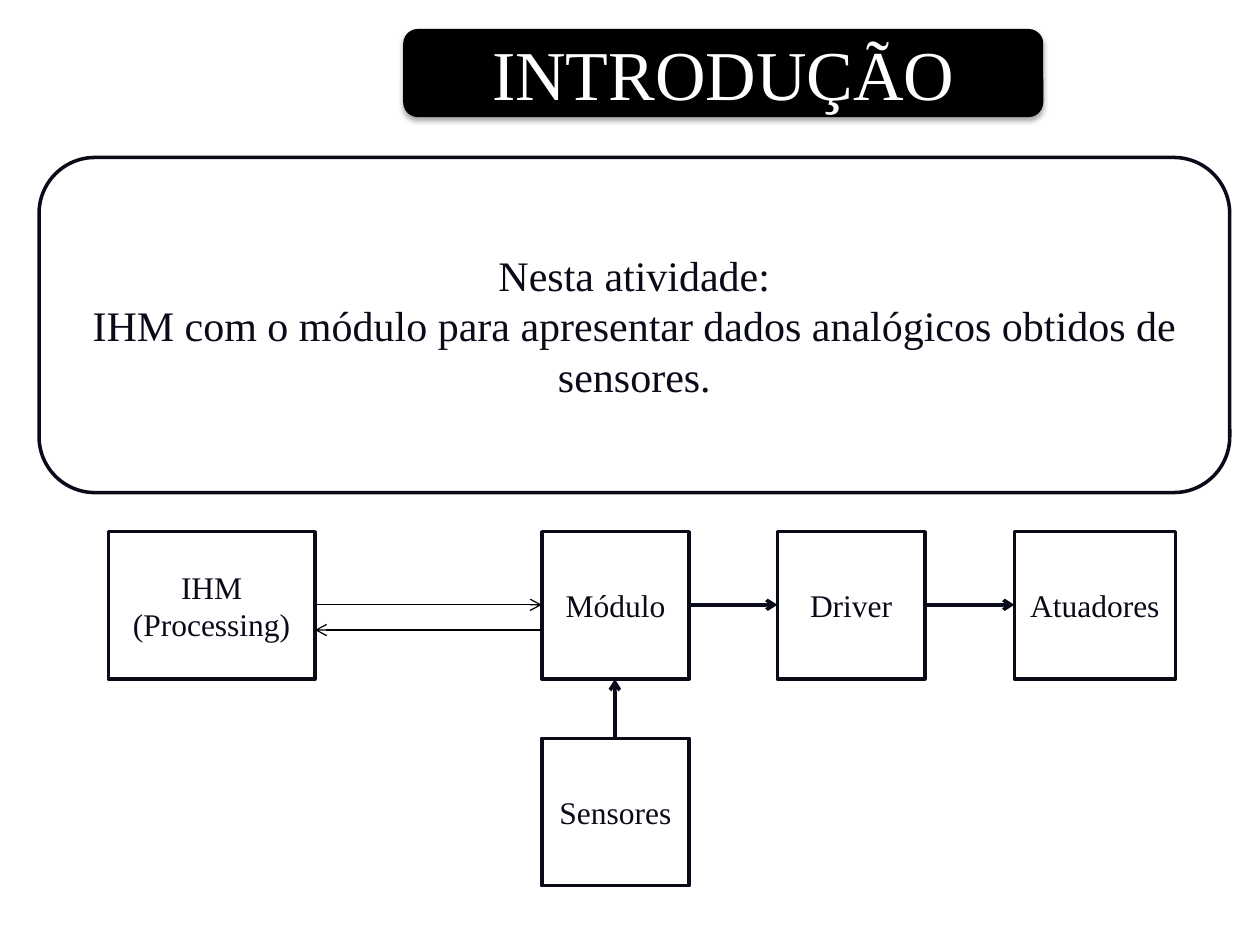
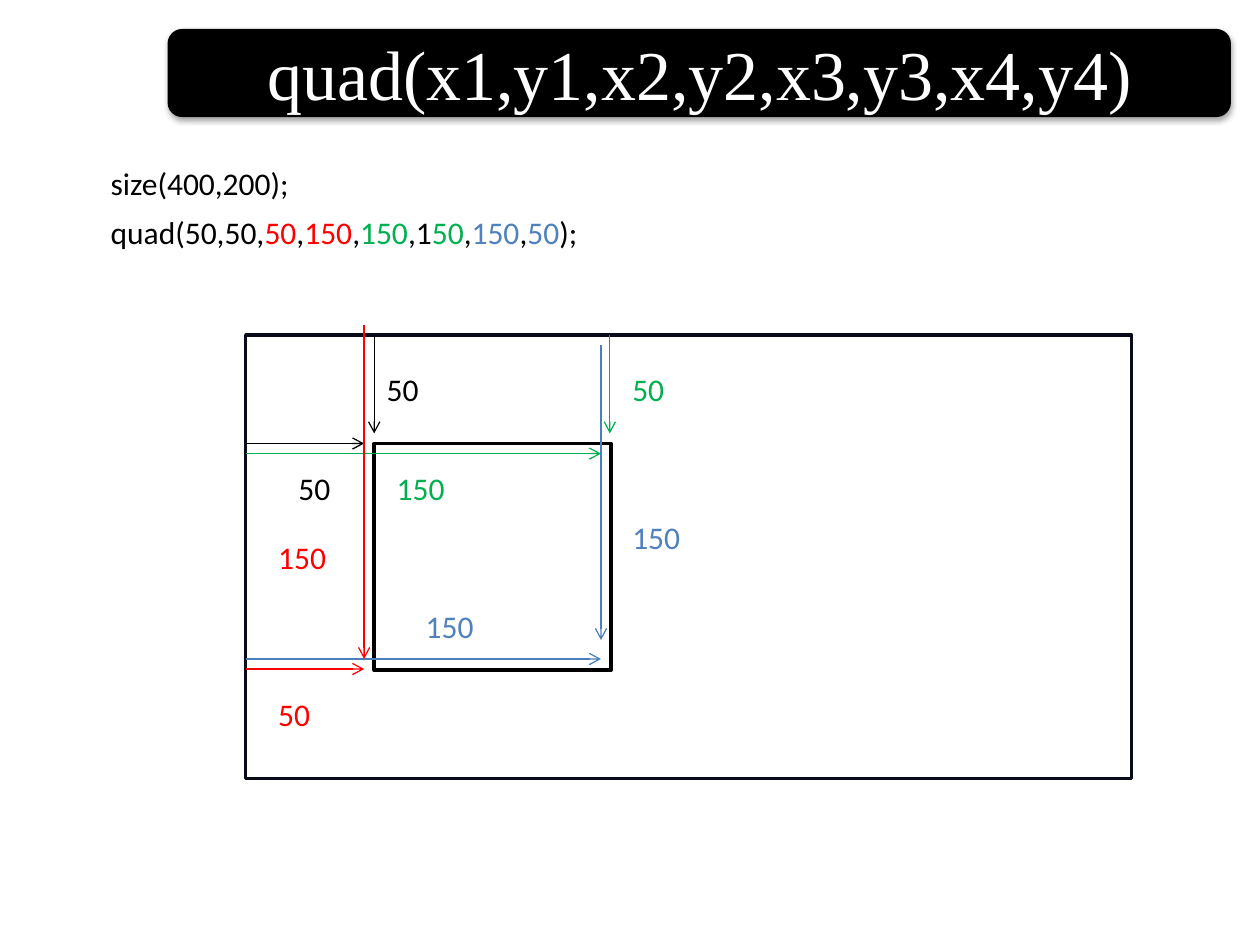
from lxml import etree
from pptx import Presentation
from pptx import util as u
from pptx.dml.color import RGBColor
from pptx.enum import shapes, text
from pptx.oxml import ns, parse_xml

SERIF, SANS = "Times New Roman", "Calibri"
BLACK, WHITE, INK = "000000", "FFFFFF", "090B19"
RED, GREEN, BLUE, BLUE_LINE = "FF0000", "00B050", "4F81BD", "4B7EBC"
THICK, THIN = 2, 0.75
TITLE_SHADOW = (
    f'<a:outerShdw {ns.nsdecls("a")} blurRad="{u.Pt(3.1)}" dist="{u.Pt(1.8)}" '
    'dir="5400000" rotWithShape="0"><a:srgbClr val="000000">'
    '<a:alpha val="35000"/></a:srgbClr></a:outerShdw>'
)


def color(hex_code):
    """Turn a hex string into a colour."""
    return RGBColor.from_string(hex_code)


def style_run(run, size, font, hex_code):
    """Set the size, typeface and colour of a run."""
    run.font.size = u.Pt(size)
    run.font.name = font
    run.font.color.rgb = color(hex_code)


def add_box(slide, area, label="", size=18, ink=INK, fill=WHITE, line=INK,
            preset=shapes.MSO_SHAPE.RECTANGLE):
    """Add a box with centred serif text, one paragraph per line."""
    box = slide.shapes.add_shape(preset, *map(u.Inches, area))
    box.shadow.inherit = False
    if fill:
        box.fill.solid()
        box.fill.fore_color.rgb = color(fill)
    else:
        box.fill.background()
    if line:
        box.line.color.rgb = color(line)
        box.line.width = u.Pt(THICK)
    else:
        box.line.fill.background()
    frame = box.text_frame
    frame.word_wrap = True
    frame.vertical_anchor = text.MSO_ANCHOR.MIDDLE
    frame.text = label
    for paragraph in frame.paragraphs:
        paragraph.alignment = text.PP_ALIGN.CENTER
        for run in paragraph.runs:
            style_run(run, size, SERIF, ink)
    return box


def add_title(slide, title, left, width):
    """Add the black title band with its soft shadow."""
    band = add_box(slide, (left, 0.23, width, 0.7), title, 40, WHITE, BLACK, None,
                   shapes.MSO_SHAPE.ROUNDED_RECTANGLE)
    effects = band._element.spPr.find(ns.qn("a:effectLst"))
    effects.append(parse_xml(TITLE_SHADOW))


def add_arrow(slide, start, end, hex_code=INK, width=THICK):
    """Add a straight line with an open arrowhead at its end."""
    arrow = slide.shapes.add_connector(
        shapes.MSO_CONNECTOR.STRAIGHT, *map(u.Inches, (*start, *end)))
    arrow.line.color.rgb = color(hex_code)
    arrow.line.width = u.Pt(width)
    etree.SubElement(arrow.line._get_or_add_ln(), ns.qn("a:tailEnd"), type="arrow")
    etree.SubElement(arrow._element.spPr, ns.qn("a:effectLst"))


def add_text(slide, left, top, width, pieces):
    """Add one line of text made of (words, colour) pieces."""
    box = slide.shapes.add_textbox(*map(u.Inches, (left, top, width, 0.4)))
    frame = box.text_frame
    frame.word_wrap = True
    frame.auto_size = text.MSO_AUTO_SIZE.SHAPE_TO_FIT_TEXT
    for words, hex_code in pieces:
        run = frame.paragraphs[0].add_run()
        run.text = words
        style_run(run, 18, SANS, hex_code)


def build_intro(slide):
    """Show the aim of the activity and its block diagram."""
    add_title(slide, "INTRODUÇÃO", 3.2, 5.08)
    add_box(slide, (0.31, 1.25, 9.45, 2.66),
            "Nesta atividade:\nIHM com o módulo para apresentar dados analógicos "
            "obtidos de sensores.",
            24, preset=shapes.MSO_SHAPE.ROUNDED_RECTANGLE)

    side, row_top, sensor_top = 1.17, 4.22, 5.86
    blocks = [("IHM\n(Processing)", 0.86, row_top, 1.64),
              ("Módulo", 4.3, row_top, side),
              ("Driver", 6.17, row_top, side),
              ("Atuadores", 8.05, row_top, 1.28),
              ("Sensores", 4.3, sensor_top, side)]
    for label, left, top, width in blocks:
        add_box(slide, (left, top, width, side), label)

    send_y, reply_y, board_x = 4.8, 5, 4.88
    add_arrow(slide, (5.47, send_y), (6.17, send_y))
    add_arrow(slide, (7.34, send_y), (8.05, send_y))
    add_arrow(slide, (board_x, sensor_top), (board_x, row_top + side))
    add_arrow(slide, (2.5, send_y), (4.3, send_y), BLACK, THIN)
    add_arrow(slide, (4.3, reply_y), (2.5, reply_y), BLACK, THIN)


def build_quad(slide):
    """Show how the four corners given to quad() are measured."""
    add_title(slide, "quad(x1,y1,x2,y2,x3,y3,x4,y4)", 1.33, 8.44)
    add_text(slide, 0.78, 1.25, 1.64, [("size(400,200);", BLACK)])
    add_text(slide, 0.78, 1.64, 3.98, [
        ("quad(50,50,", BLACK), ("50", RED), (",", BLACK), ("150", RED),
        (",", BLACK), ("150", GREEN), (",1", BLACK), ("50", GREEN),
        (",", BLACK), ("150", BLUE), (",", BLACK), ("50", BLUE), (");", BLACK)])

    window_left, window_top = 1.95, 2.66
    add_box(slide, (window_left, window_top, 7.03, 3.52))
    add_box(slide, (2.97, 3.52, 1.88, 1.8), fill=None, line=BLACK)

    across = [(BLACK, 3.52, 2.89), (RED, 5.31, 2.89),
              (GREEN, 3.6, 4.77), (BLUE_LINE, 5.23, 4.77)]
    for hex_code, y, tip in across:
        add_arrow(slide, (window_left, y), (tip, y), hex_code, THIN)
    down = [(BLACK, 2.97, window_top, 3.44), (RED, 2.89, 2.58, 5.23),
            (GREEN, 4.84, window_top, 3.44), (BLUE_LINE, 4.77, 2.74, 5.08)]
    for hex_code, x, top, tip in down:
        add_arrow(slide, (x, top), (x, tip), hex_code, THIN)

    distances = [("50", BLACK, 2.97, 2.89), ("50", BLACK, 2.27, 3.67),
                 ("150", RED, 2.11, 4.22), ("50", RED, 2.11, 5.47),
                 ("150", GREEN, 3.05, 3.67), ("50", GREEN, 4.92, 2.89),
                 ("150", BLUE, 4.92, 4.06), ("150", BLUE, 3.28, 4.77)]
    for distance, hex_code, left, top in distances:
        add_text(slide, left, top, 0.63, [(distance, hex_code)])


def main():
    """Build both slides and save the deck."""
    deck = Presentation()
    deck.slide_width, deck.slide_height = u.Inches(10), u.Inches(7.5)
    blank = deck.slide_layouts[6]
    for build in (build_intro, build_quad):
        build(deck.slides.add_slide(blank))
    deck.save("out.pptx")


if __name__ == "__main__":
    main()
